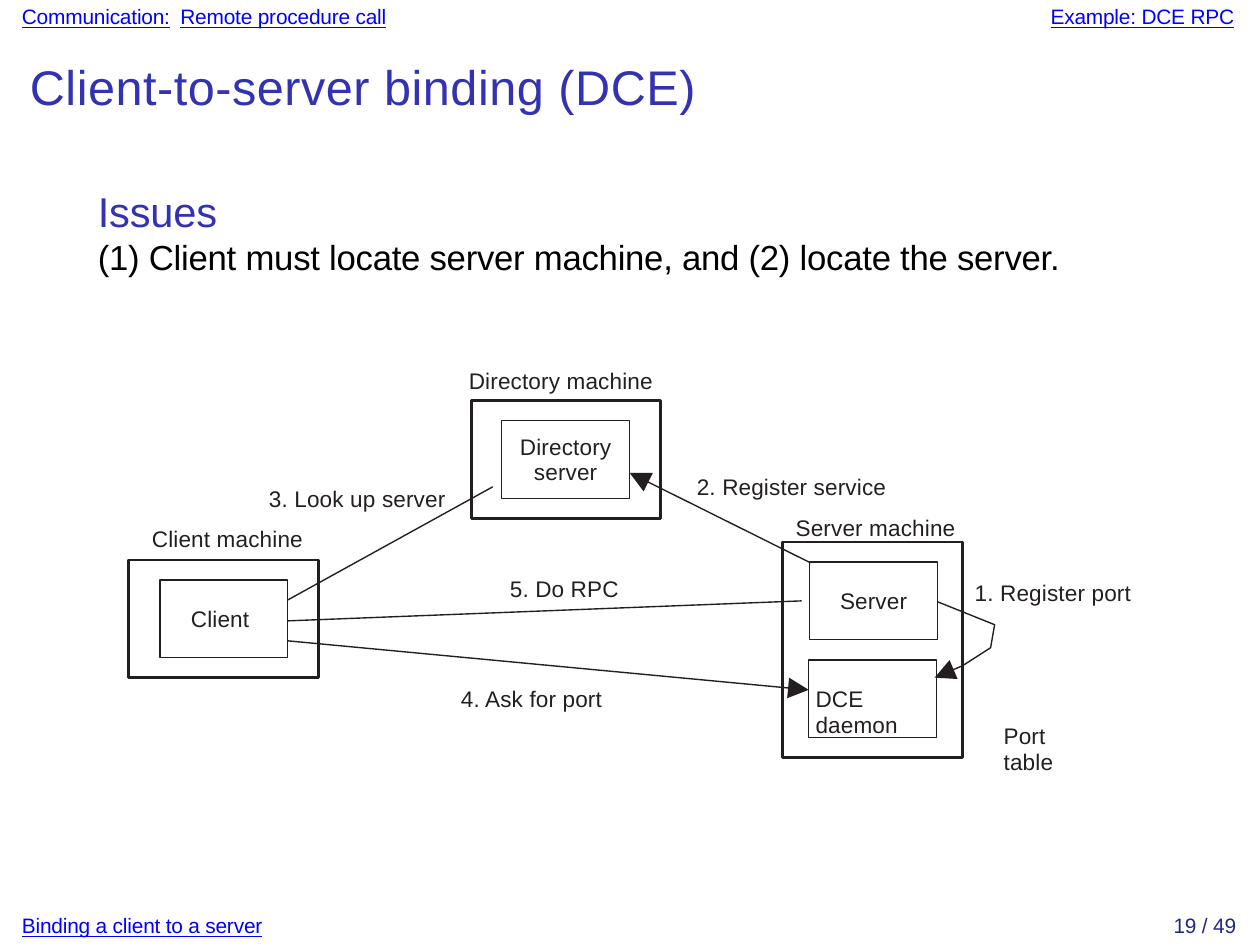
import pptx
import pptx.util
import pptx.dml.color
import pptx.enum.shapes
import pptx.enum.text
import pptx.oxml.ns
from dataclasses import dataclass
from lxml import etree

SCALE = 914400 / 250  # EMU per px
SHAPES = pptx.enum.shapes.MSO_SHAPE
ALIGN = pptx.enum.text.PP_ALIGN
ANCHOR = pptx.enum.text.MSO_ANCHOR
qn = pptx.oxml.ns.qn


@dataclass(frozen=True)
class Style:
    size: float
    color: str
    spacing: int = -5  # hundredths of a point
    leading: float = 0  # points, 0 for single spacing
    underline: bool = False


class Theme:
    font = "Arial"
    ink = "231F20"
    thin, thick = 0.41, 0.83
    title = Style(14, "3333B2", 15)
    heading = Style(12, "3333B2", leading=14.2)
    body = Style(10, "000000", leading=11.8)
    label = Style(6.5, ink, 5, leading=7.4)
    link = Style(6, "0000FF", underline=True)
    page = Style(6, "262685")


def px(*lengths):
    return [round(v * SCALE) for v in lengths]


def rgb(color):
    return pptx.dml.color.RGBColor.from_string(color)


def set_font(p, style):
    f = p.font
    f.name, f.size = Theme.font, pptx.util.Pt(style.size)
    f.color.rgb = rgb(style.color)
    if style.underline:
        f.underline = True
    if style.leading:
        p.line_spacing = pptx.util.Pt(style.leading)
    p._p.pPr.find(qn("a:defRPr")).set("spc", str(style.spacing))


def fill_text(s, lines, align=ALIGN.LEFT, anchor=ANCHOR.TOP, inset=0):
    """Write (text, style) lines, one paragraph each."""
    tf = s.text_frame
    tf.word_wrap = True
    tf.vertical_anchor = anchor
    tf.margin_left, = px(inset)
    tf.margin_right = tf.margin_top = tf.margin_bottom = 0
    for i, (text, style) in enumerate(lines):
        p = tf.add_paragraph() if i else tf.paragraphs[0]
        p.alignment = align
        set_font(p, style)
        p.add_run().text = text


def add_text(slide, left, top, width, *lines):
    height = sum(style.size for _, style in lines) * 4
    s = slide.shapes.add_textbox(*px(left, top, width, height))
    fill_text(s, lines)
    return s


def set_line(s, width):
    s.line.color.rgb = rgb(Theme.ink)
    s.line.width = pptx.util.Pt(width)


def add_arrowhead(s):
    ln = s._element.spPr.find(qn("a:ln"))
    etree.SubElement(ln, qn("a:tailEnd"), type="triangle", w="med", len="med")


def add_box(slide, left, top, width, height, weight):
    s = slide.shapes.add_shape(SHAPES.RECTANGLE, *px(left, top, width, height))
    s.shadow.inherit = False
    s.fill.background()
    set_line(s, weight)
    return s


def add_process(slide, left, top, text, align=ALIGN.CENTER,
                anchor=ANCHOR.MIDDLE, inset=0):
    s = add_box(slide, left, top, 128, 78, Theme.thin)
    lines = [(line, Theme.label) for line in text.split("\n")]
    fill_text(s, lines, align, anchor, inset)


def add_message(slide, start, end, arrow):
    s = slide.shapes.add_connector(
        pptx.enum.shapes.MSO_CONNECTOR.STRAIGHT, *px(*start, *end))
    set_line(s, Theme.thin)
    if arrow:
        add_arrowhead(s)
    etree.SubElement(s._element.spPr, qn("a:effectLst"))


def add_bent_arrow(slide, start, *points):
    fb = slide.shapes.build_freeform(*start, scale=SCALE)
    fb.add_line_segments(points, close=False)
    s = fb.convert_to_shape()
    s.shadow.inherit = False
    s.fill.background()
    set_line(s, Theme.thin)
    add_arrowhead(s)


def add_section_link(slide):
    s = add_text(slide, 22, 4, 400, ("Communication:", Theme.link))
    p = s.text_frame.paragraphs[0]
    gap = p.add_run()
    gap.text = " "
    gap.font.underline = False
    gap._r.get_or_add_rPr().set("spc", "140")
    p.add_run().text = "Remote procedure call"


def add_diagram(slide):
    for frame in ((472, 401, 189, 118), (129, 560, 190, 118),
                  (783, 542, 180, 216)):
        add_box(slide, *frame, Theme.thick)

    add_process(slide, 502, 421, "Directory\nserver")
    add_process(slide, 160, 580, "Client", ALIGN.LEFT, inset=31)
    add_process(slide, 810, 562, "Server")
    add_process(slide, 809, 660, "DCE\ndaemon", ALIGN.LEFT, ANCHOR.BOTTOM, 7)

    for start, end, arrow in (
        ((811, 563), (630, 473), True),
        ((288, 600), (493, 487), False),
        ((288, 621), (802, 601), False),
        ((288, 641), (809, 690), True),
    ):
        add_message(slide, start, end, arrow)
    add_bent_arrow(slide, (938, 602), (995, 625), (991, 648),
                   (963, 666), (935, 678))

    for left, top, text in (
        (469, 368, "Directory machine"),
        (152, 526, "Client machine"),
        (796, 515, "Server machine"),
        (975, 580, "1. Register port"),
        (697, 474, "2. Register service"),
        (269, 486, "3. Look up server"),
        (461, 686, "4. Ask for port"),
        (510, 576, "5. Do RPC"),
    ):
        add_text(slide, left, top, 220, (text, Theme.label))
    add_text(slide, 1004, 724, 70,
             ("Port", Theme.label), ("table", Theme.label))


def main():
    prs = pptx.Presentation()
    prs.slide_width = pptx.util.Pt(363)
    prs.slide_height = pptx.util.Pt(272.5)
    slide = prs.slides.add_slide(prs.slide_layouts[6])

    add_section_link(slide)
    add_text(slide, 1051, 4, 205, ("Example: DCE RPC", Theme.link))
    add_text(slide, 30, 57, 900,
             ("Client-to-server binding (DCE)", Theme.title))
    add_text(slide, 98, 187, 1100, ("Issues", Theme.heading), (
        "(1) Client must locate server machine, and (2) locate the server.",
        Theme.body))
    add_diagram(slide)
    add_text(slide, 22, 913, 300, ("Binding a client to a server", Theme.link))
    add_text(slide, 1174, 913, 82, ("19 / 49", Theme.page))

    prs.save("out.pptx")


if __name__ == "__main__":
    main()
